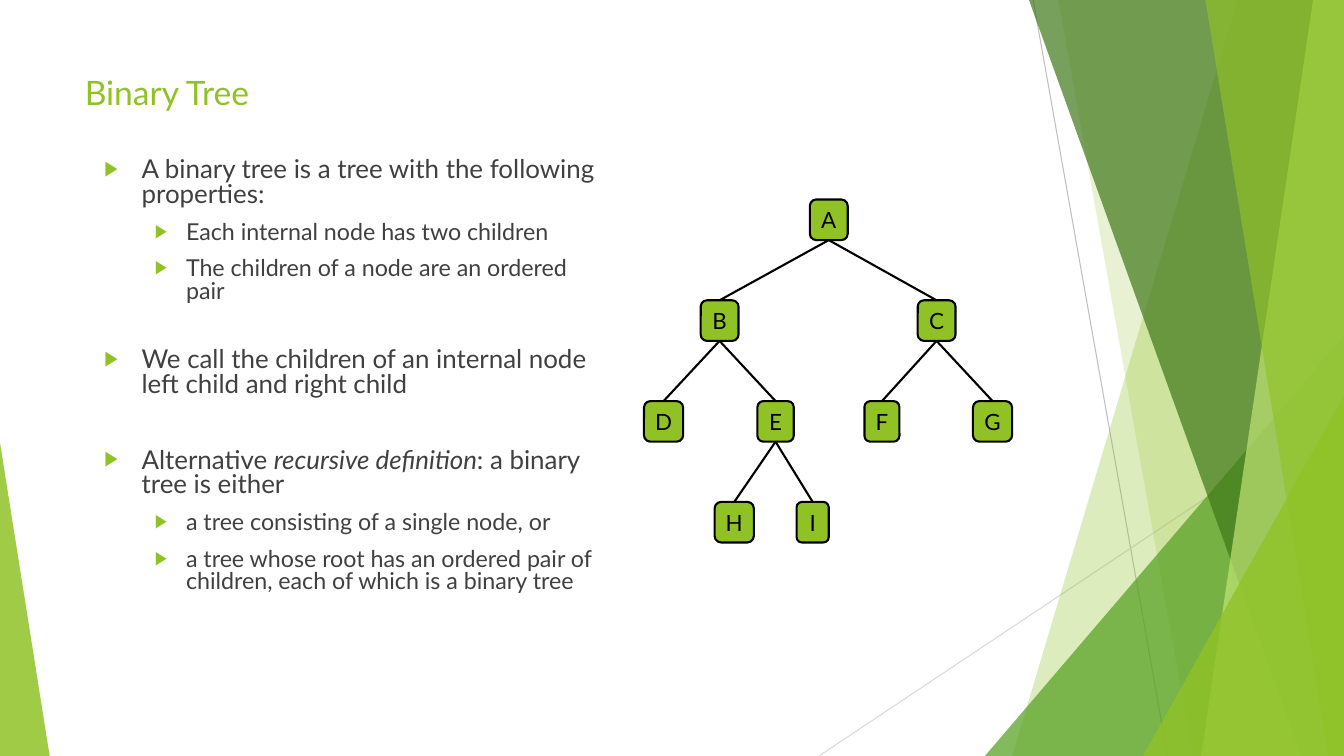
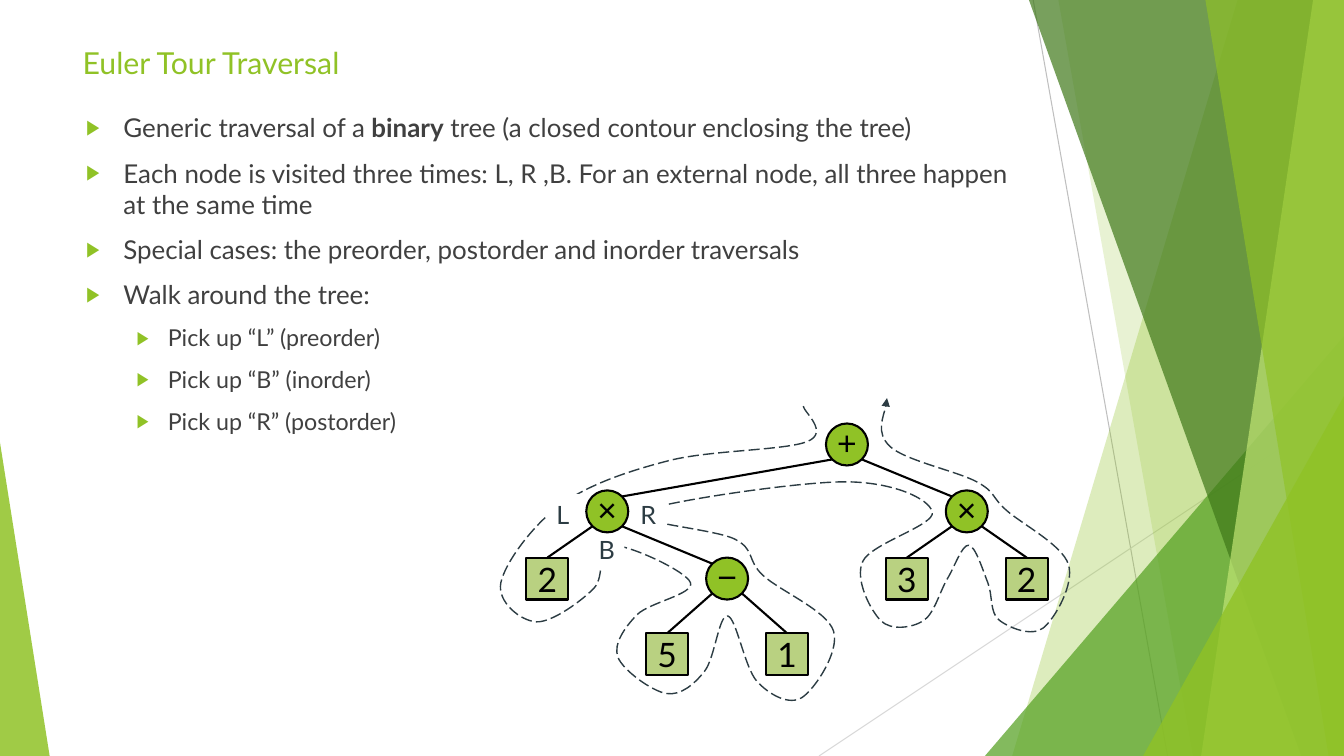
from collections import namedtuple
from dataclasses import dataclass

from lxml.etree import SubElement
from pptx import Presentation
from pptx.dml.color import RGBColor
from pptx.enum.dml import MSO_LINE
from pptx.enum.shapes import MSO_CONNECTOR, MSO_SHAPE
from pptx.enum.text import MSO_ANCHOR, PP_ALIGN
from pptx.oxml.ns import qn
from pptx.util import Pt


@dataclass(frozen=True)
class Theme:
    font: str = "Lato"
    symbol_font: str = "Arial"
    green: str = "90C226"
    mid_green: str = "54A021"
    dark_green: str = "3F7819"
    light_green: str = "C0E474"
    leaf: str = "B9D181"
    text: str = "404040"
    tour: str = "2C3C43"
    black: str = "000000"
    white: str = "FFFFFF"
    rule_dark: str = "BFBFBF"
    rule_light: str = "D9D9D9"
    title_size: float = 24
    small_title_size: float = 21.6
    level_sizes: tuple = (18.5, 16.6)
    level_indents: tuple = ((26.6, 26.6), (58.3, 22.3))
    node_size: float = 16
    operator_size: float = 24
    label_size: float = 18
    outline: float = 1.5


THEME = Theme()
WIDTH, HEIGHT = 960, 540

Box = namedtuple("Box", "left top width height")
Bullet = namedtuple("Bullet", "level runs gap", defaults=(10,))
Node = namedtuple("Node", "x row width parent")

BANDS = [
    ("band", (884, 723), THEME.green, 30),
    ("band", (756, 852), THEME.green, 20),
    ("triangle", (Box(703.5, 240, 256.5, 300), 1), THEME.mid_green, 72),
    ("band", (735, 929.5), THEME.dark_green, 70),
    ("band", (938, 858), THEME.light_green, 70),
    ("band", (861, 949), THEME.green, 65),
    ("triangle", (Box(816.5, 283, 143.5, 257), 1), THEME.green, 80),
    ("triangle", (Box(0, 316, 35.5, 224), 0), THEME.green, 85),
]

TREE_BULLETS = [
    Bullet(0, [("A binary tree is a tree with the following properties:", "")], 0),
    Bullet(1, [("Each internal node has two children", "")]),
    Bullet(1, [("The children of a node are an ordered pair", "")]),
    Bullet(0, [("We call the children of an internal node left child and right child", "")], 32.4),
    Bullet(0, [("Alternative ", ""), ("recursive definition", "italic"),
               (": a binary tree is either", "")], 36),
    Bullet(1, [("a tree consisting of a single node, or", "")]),
    Bullet(1, [("a tree whose root has an ordered pair of children, "
                "each of which is a binary tree", "")]),
]

TREE_NODES = {
    "A": Node(132, 0, 27, None),
    "B": Node(54, 1, 27, "A"),
    "C": Node(209, 1, 27, "A"),
    "D": Node(14, 2, 28, "B"),
    "E": Node(94, 2, 26, "B"),
    "F": Node(170, 2, 25, "C"),
    "G": Node(249, 2, 28, "C"),
    "H": Node(64.5, 3, 28, "E"),
    "I": Node(120.5, 3, 23, "E"),
}

TOUR_BULLETS = [
    Bullet(0, [("Generic traversal of a ", ""), ("binary", "bold"),
               (" tree (a closed contour enclosing the tree)", "")], 0),
    Bullet(0, [("Each node is visited three times: L, R ,B. "
                "For an external node, all three happen at the same time", "")]),
    Bullet(0, [("Special cases: the preorder, postorder and inorder traversals", "")]),
    Bullet(0, [("Walk around the tree:", "")]),
    Bullet(1, [("Pick up “L” (preorder)", "")]),
    Bullet(1, [("Pick up “B” (inorder)", "")]),
    Bullet(1, [("Pick up “R” (postorder)", "")]),
]

EXPRESSION_ROWS = (33.5, 81.3, 129.3, 183.3)
EXPRESSION_NODES = [
    ("+", 5, 0, None),
    ("×", 1, 1, 0),
    ("×", 7, 1, 0),
    ("2", 0, 2, 1),
    ("−", 3, 2, 1),
    ("3", 6, 2, 2),
    ("2", 8, 2, 2),
    ("5", 2, 3, 4),
    ("1", 4, 3, 4),
]
VISIT_LABELS = [("L", 35, 69, 24), ("B", 66, 94, 25), ("R", 95, 69, 26)]
TOUR_POINTS = [
    (218.8, 6.2), (221.7, 31.4), (123, 45), (45.3, 76.7), (2.8, 132.2),
    (28, 160.2), (69, 136.5), (82, 105.5), (138.2, 132.2), (100, 155.2),
    (86.4, 185.4), (121, 211.4), (148.3, 195.5), (164.8, 156), (185.7, 202.7),
    (218, 214.2), (240.4, 166.7), (190, 127), (170, 101.2), (102.2, 81.8),
    (248.4, 60.2), (311, 81.8), (261.3, 117), (274.3, 159.5), (304.5, 159.5),
    (321.8, 129.3), (337, 105.5), (350.6, 132.2), (358.5, 158.8), (390.2, 164.6),
    (408.2, 119.2), (363.6, 80.3), (342.7, 60.2), (280.8, 35), (278.6, 0.4),
]


def rgb(value):
    return RGBColor.from_string(value)


def paint(shape, fill, outline=None, opacity=100):
    shape.shadow.inherit = False
    shape.fill.solid()
    shape.fill.fore_color.rgb = rgb(fill)
    if opacity < 100:
        color = shape.fill._xPr.find(qn("a:solidFill"))[0]
        SubElement(color, qn("a:alpha"), val=str(opacity * 1000))
    if outline:
        shape.line.color.rgb = rgb(outline)
        shape.line.width = Pt(THEME.outline)
    else:
        shape.line.fill.background()


def add_line(slide, start, end, color=THEME.black, width=THEME.outline):
    line = slide.shapes.add_connector(
        MSO_CONNECTOR.STRAIGHT, *(Pt(value) for value in (*start, *end)))
    line.line.color.rgb = rgb(color)
    line.line.width = Pt(width)
    SubElement(line._element.spPr, qn("a:effectLst"))
    return line


def add_polygon(slide, points, close=True):
    first, *rest = [(Pt(x), Pt(y)) for x, y in points]
    builder = slide.shapes.build_freeform(*first, scale=1.0)
    builder.add_line_segments(rest, close=close)
    return builder.convert_to_shape()


def style_run(run, size, color, font=THEME.font):
    run.font.name = font
    run.font.size = Pt(size)
    run.font.color.rgb = rgb(color)


def add_node(slide, kind, box, text, size, color, fill, outline=THEME.black, font=THEME.font):
    shape = slide.shapes.add_shape(kind, *(Pt(value) for value in box))
    paint(shape, fill, outline)
    frame = shape.text_frame
    frame.word_wrap = False
    frame.vertical_anchor = MSO_ANCHOR.MIDDLE
    frame.text = text
    paragraph = frame.paragraphs[0]
    paragraph.alignment = PP_ALIGN.CENTER
    style_run(paragraph.runs[0], size, color, font)
    return shape


def add_backdrop(slide):
    add_line(slide, (738, 0), (834, HEIGHT), THEME.rule_dark, 0.75)
    add_line(slide, (WIDTH, 290), (585, HEIGHT), THEME.rule_light, 0.75)
    for kind, geometry, color, opacity in BANDS:
        if kind == "band":
            top, bottom = geometry
            shape = add_polygon(
                slide, [(top, 0), (WIDTH, 0), (WIDTH, HEIGHT), (bottom, HEIGHT)])
        else:
            box, apex = geometry
            shape = slide.shapes.add_shape(
                MSO_SHAPE.ISOSCELES_TRIANGLE, *(Pt(value) for value in box))
            shape.adjustments[0] = apex
        paint(shape, color, opacity=opacity)


def add_title(slide, box, text, size):
    frame = slide.shapes.add_textbox(*(Pt(value) for value in box)).text_frame
    frame.word_wrap = True
    frame.text = text
    style_run(frame.paragraphs[0].runs[0], size, THEME.green)


def set_bullet(paragraph, level):
    left, hanging = THEME.level_indents[level]
    properties = paragraph._p.get_or_add_pPr()
    properties.set("marL", str(Pt(left)))
    properties.set("indent", str(-Pt(hanging)))
    color = SubElement(properties, qn("a:buClr"))
    SubElement(color, qn("a:srgbClr"), val=THEME.green)
    SubElement(properties, qn("a:buSzPct"), val="80000")
    SubElement(properties, qn("a:buFont"), typeface=THEME.symbol_font)
    SubElement(properties, qn("a:buChar"), char="▶")


def add_bullets(slide, box, bullets, line_spacing=1.0):
    frame = slide.shapes.add_textbox(*(Pt(value) for value in box)).text_frame
    frame.word_wrap = True
    for index, bullet in enumerate(bullets):
        paragraph = frame.add_paragraph() if index else frame.paragraphs[0]
        set_bullet(paragraph, bullet.level)
        paragraph.level = bullet.level
        paragraph.line_spacing = line_spacing
        paragraph.space_before = Pt(bullet.gap)
        for text, emphasis in bullet.runs:
            run = paragraph.add_run()
            run.text = text
            style_run(run, THEME.level_sizes[bullet.level], THEME.text)
            if emphasis:
                setattr(run.font, emphasis, True)


def add_binary_tree(slide, box):
    row_step, node_height = 72, 29
    shapes = {}
    for name, node in TREE_NODES.items():
        node_box = Box(box.left + node.x - node.width / 2,
                       box.top + node.row * row_step, node.width, node_height)
        shapes[name] = add_node(slide, MSO_SHAPE.ROUNDED_RECTANGLE, node_box, name,
                                THEME.node_size, THEME.black, THEME.green)
        if node.parent:
            edge = add_line(slide, (0, 0), (1, 1))
            edge.begin_connect(shapes[node.parent], 2)
            edge.end_connect(shapes[name], 0)


def add_tour(slide, box):
    points = [(box.left + x, box.top + y) for x, y in TOUR_POINTS]
    padded = [points[0], *points, points[-1]]
    slopes = [((after[0] - before[0]) / 6, (after[1] - before[1]) / 6)
              for before, after in zip(padded, padded[2:])]
    outline = [points[0]]
    for index, (start, end) in enumerate(zip(points, points[1:])):
        leave, arrive = slopes[index], slopes[index + 1]
        outline += [(start[0] + leave[0], start[1] + leave[1]),
                    (end[0] - arrive[0], end[1] - arrive[1]), end]
    shape = add_polygon(slide, outline, close=False)
    path = next(shape._element.iter(qn("a:path")))
    segments = path.findall(qn("a:lnTo"))
    for first in range(0, len(segments), 3):
        curve = SubElement(path, qn("a:cubicBezTo"))
        for segment in segments[first:first + 3]:
            curve.append(segment[0])
            path.remove(segment)
    shape.shadow.inherit = False
    shape.fill.background()
    shape.line.color.rgb = rgb(THEME.tour)
    shape.line.width = Pt(1)
    shape.line.dash_style = MSO_LINE.LONG_DASH
    SubElement(shape.line._get_or_add_ln(), qn("a:tailEnd"), type="triangle")


def add_expression_tree(slide, box):
    size, column_step, first_column, diagonal = 30, 42.8, 36, 10.7
    add_tour(slide, box)
    for text, x, y, width in VISIT_LABELS:
        label = add_node(slide, MSO_SHAPE.RECTANGLE, Box(box.left + x, box.top + y, width, 29),
                         text, THEME.label_size, THEME.tour, THEME.white, None)
        label.text_frame.vertical_anchor = MSO_ANCHOR.TOP
    centers = [(box.left + first_column + column * column_step, box.top + EXPRESSION_ROWS[row])
               for _, column, row, _ in EXPRESSION_NODES]
    for (text, _, _, parent), (x, y) in zip(EXPRESSION_NODES, centers):
        leaf = text.isdigit()
        if parent is not None:
            parent_x, parent_y = centers[parent]
            side = diagonal if x > parent_x else -diagonal
            end = (x, y - size / 2) if leaf else (x - side, y - diagonal)
            add_line(slide, (parent_x + side, parent_y + diagonal), end)
        kind, fill, font = ((MSO_SHAPE.RECTANGLE, THEME.leaf, THEME.font) if leaf
                            else (MSO_SHAPE.OVAL, THEME.green, THEME.symbol_font))
        node = add_node(slide, kind, Box(x - size / 2, y - size / 2, size, size), text,
                        THEME.operator_size, THEME.black, fill, font=font)
        if not leaf:
            frame = node.text_frame
            frame.margin_left = frame.margin_right = frame.margin_top = 0
            frame.margin_bottom = Pt(3.6)


def add_blank_slide(presentation):
    slide = presentation.slides.add_slide(presentation.slide_layouts[6])
    add_backdrop(slide)
    return slide


def add_binary_tree_slide(presentation):
    slide = add_blank_slide(presentation)
    add_title(slide, Box(53.5, 48, 677, 104), "Binary Tree", THEME.title_size)
    add_bullets(slide, Box(67.5, 110, 372, 342), TREE_BULLETS, 0.8)
    add_binary_tree(slide, Box(460, 142.5, 263, 245))


def add_euler_tour_slide(presentation):
    slide = add_blank_slide(presentation)
    add_title(slide, Box(52, 28, 295, 34), "Euler Tour Traversal", THEME.small_title_size)
    add_bullets(slide, Box(54.5, 76.5, 672, 228), TOUR_BULLETS)
    add_expression_tree(slide, Box(355, 284, 413, 220))


def main():
    presentation = Presentation()
    presentation.slide_width, presentation.slide_height = Pt(WIDTH), Pt(HEIGHT)
    add_binary_tree_slide(presentation)
    add_euler_tour_slide(presentation)
    presentation.save("out.pptx")


if __name__ == "__main__":
    main()
